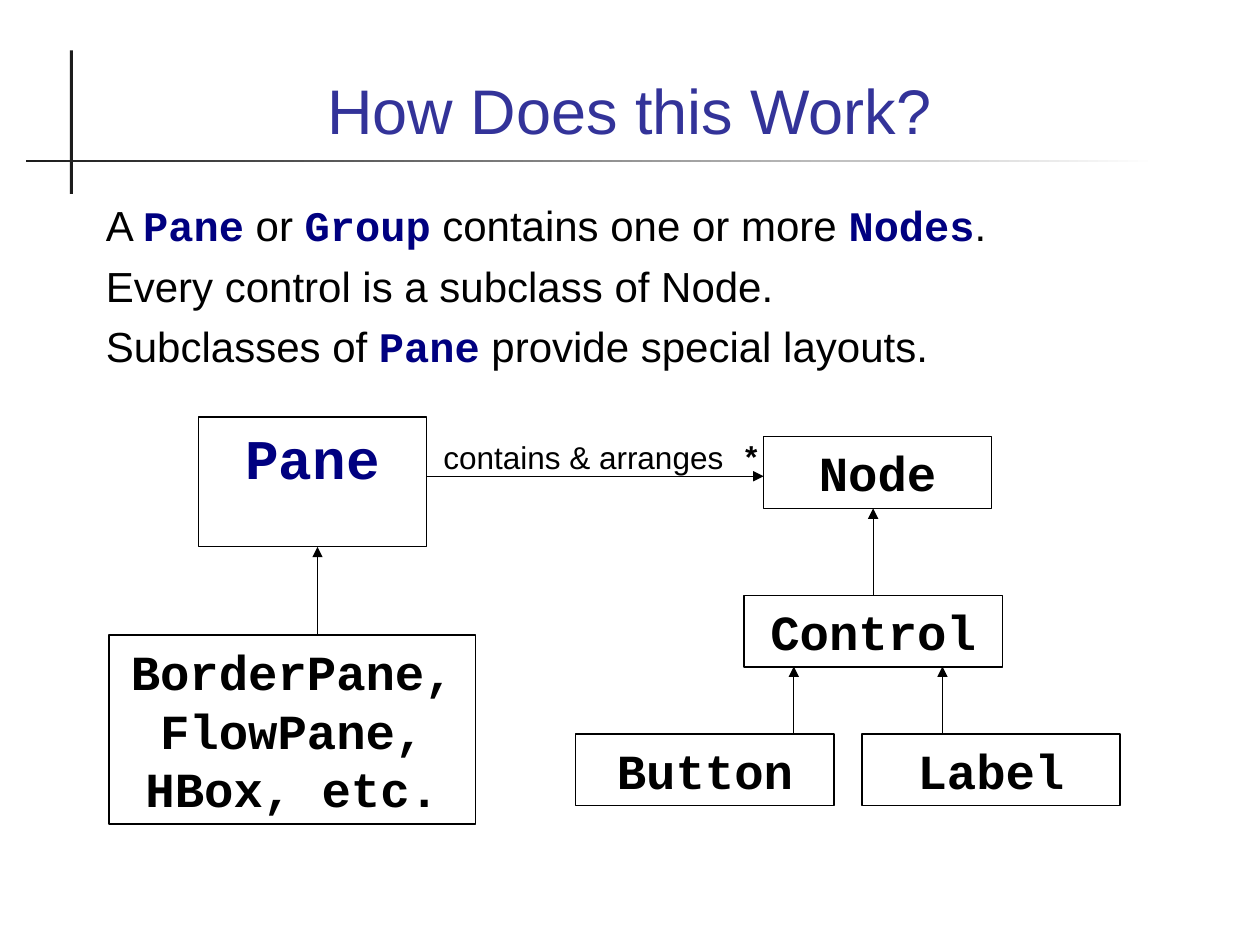
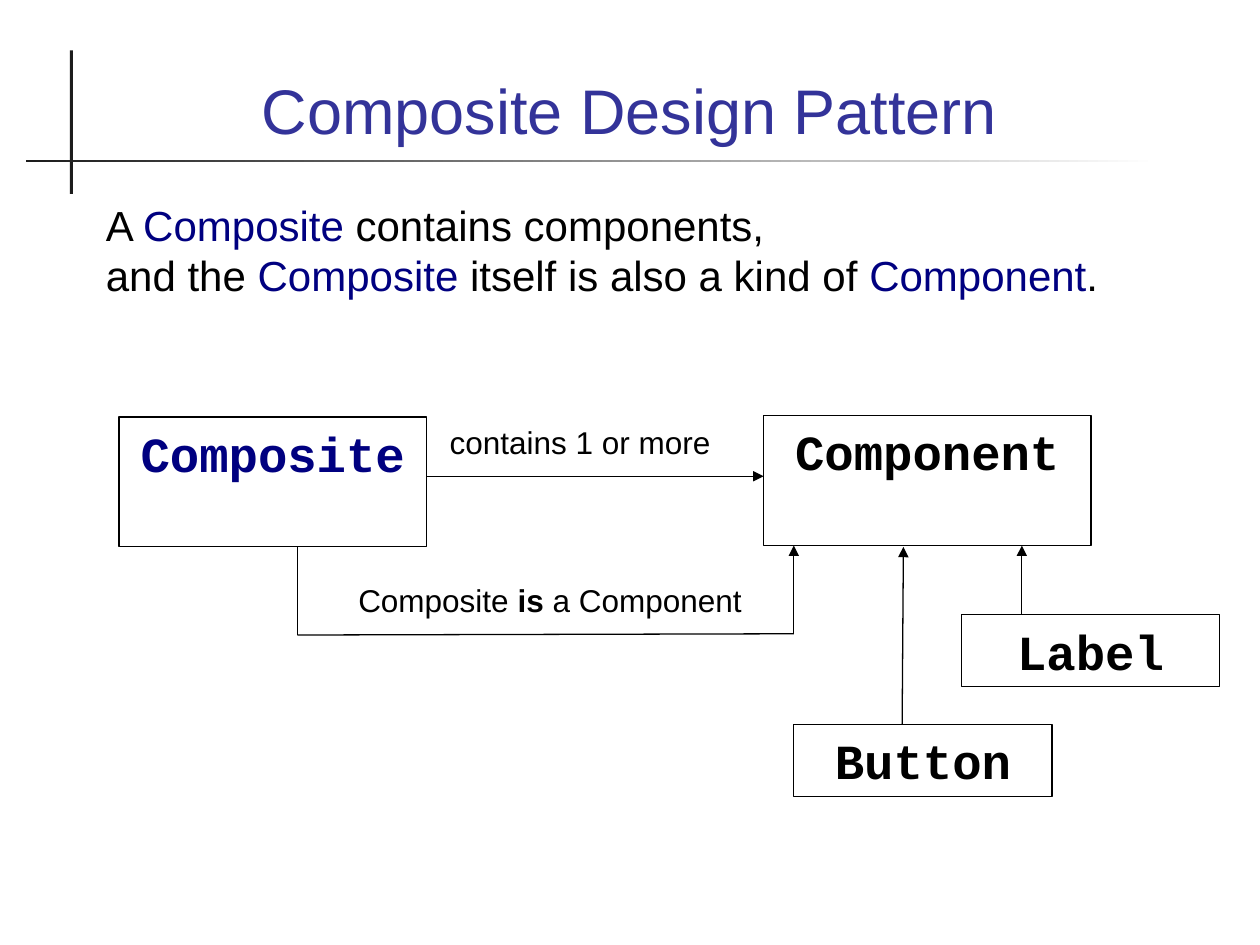
from dataclasses import dataclass
from typing import NamedTuple, Optional

from pptx import Presentation
from pptx.dml.color import RGBColor
from pptx.enum.shapes import MSO_CONNECTOR as Line, MSO_SHAPE as Shape
from pptx.enum.text import MSO_ANCHOR as Anchor, MSO_AUTO_SIZE as AutoSize, PP_ALIGN as Align
from pptx.oxml.ns import qn
from pptx.util import Emu, Inches, Pt
from lxml.etree import SubElement

WIDTH, HEIGHT = Inches(10), Inches(7.5)
COLS, ROWS = 100, 75
SANS, MONO = "Arial", "Courier New"
BLACK, NAVY, TITLE, RULE, WHITE = "000000", "000080", "333399", "1C1C1C", "FFFFFF"
TOP_SIDE = 0


class Span(NamedTuple):
    text: str
    color: str = BLACK
    font: str = SANS
    bold: bool = False


class Area(NamedTuple):
    """A place on the grid, in columns and rows."""
    col: float
    row: float
    cols: float
    rows: float


@dataclass
class ClassBox:
    name: str
    area: Area
    color: str = BLACK
    size: int = 28


@dataclass
class Link:
    """A line; begin_at names the class whose top middle it starts from."""
    start: tuple[float, float]
    end: tuple[float, float]
    head: bool = True
    begin_at: Optional[str] = None


@dataclass
class Label:
    spans: list[Span]
    area: Area
    wrap: bool = True
    align: Align = Align.LEFT
    tab: Optional[float] = None


@dataclass
class Page:
    title: str
    body: list[list[Span]]
    body_rows: float
    boxes: list[ClassBox]
    links: list[Link]
    labels: list[Label]


TITLE_AREA = Area(6.7, 2.8, 86.5, 9.4)
BODY_COL, BODY_ROW, BODY_COLS = 7.4, 15.3, 86.5
LEAF_COLS, LEAF_ROWS = 20.5, 5.7
CONTAINS = Link((33.9, 37.8), (60.6, 37.8))


def code(text: str) -> Span:
    return Span(text, NAVY, MONO, True)


def term(text: str) -> Span:
    return Span(text, NAVY)


def leaf(name: str, col: float, row: float) -> ClassBox:
    return ClassBox(name, Area(col, row, LEAF_COLS, LEAF_ROWS))


PAGES = [
    Page(
        "How Does this Work?",
        [
            [Span("A "), code("Pane"), Span(" or "), code("Group"),
             Span(" contains one or more "), code("Nodes"), Span(".")],
            [Span("Every control is a subclass of Node.")],
            [Span("Subclasses of "), code("Pane"), Span(" provide special layouts.")],
        ],
        15.4,
        [
            ClassBox("Pane", Area(15.75, 33.1, 18.1, 10.3), NAVY, 32),
            ClassBox("Node", Area(60.6, 34.65, 18.1, LEAF_ROWS)),
            leaf("Control", 59.05, 47.25),
            leaf("Button", 45.7, 58.25),
            leaf("Label", 68.4, 58.25),
            ClassBox("BorderPane,\vFlowPane,\vHBox, etc.", Area(8.65, 50.4, 29.1, 15)),
        ],
        [
            Link((69.3, 47.25), (69.3, 40.35), begin_at="Control"),
            Link((74.8, 58.25), (74.8, 52.9)),
            Link((63, 58.25), (63, 52.9)),
            Link((25.2, 50.4), (25.2, 43.4)),
            CONTAINS,
        ],
        [Label([Span("contains & arranges\t"), Span("*", font=MONO, bold=True)],
               Area(34.2, 34.3, 27.6, 7), tab=23.7)],
    ),
    Page(
        "Composite Design Pattern",
        [[Span("A "), term("Composite"), Span(" contains components,\vand the "),
          term("Composite"), Span(" itself is also a kind of "), term("Component"), Span(".")]],
        12.2,
        [
            ClassBox("Composite", Area(9.45, 33.1, 24.4, 10.3), NAVY),
            ClassBox("Component", Area(60.6, 33, 26, 10.3)),
            leaf("Button", 63, 57.5),
            leaf("Label", 76.3, 48.8),
        ],
        [
            Link((71.6, 57.5), (71.7, 43.4)),
            Link((81.1, 48.8), (81.1, 43.3)),
            CONTAINS,
            Link((63, 50.3), (63, 43.3)),
            Link((23.6, 43.4), (23.6, 50.4), head=False),
            Link((63, 50.3), (23.6, 50.4), head=False),
        ],
        [
            Label([Span("contains 1 or more")], Area(34.7, 33.1, 25.2, 4)),
            Label([Span("Composite "), Span("is", bold=True), Span(" a Component")],
                  Area(25.2, 45.6, 36.9, 7), wrap=False, align=Align.CENTER),
        ],
    ),
]


def rgb(color: str) -> RGBColor:
    return RGBColor.from_string(color)


def x(cols: float) -> Emu:
    return Emu(round(WIDTH * cols / COLS))


def y(rows: float) -> Emu:
    return Emu(round(HEIGHT * rows / ROWS))


def place(area: Area) -> tuple[Emu, Emu, Emu, Emu]:
    return x(area.col), y(area.row), x(area.cols), y(area.rows)


def write(p, spans: list[Span], size: int, align: Align = Align.LEFT) -> None:
    p.alignment = align
    p.space_before = Pt(0)
    for span in spans:
        for i, line in enumerate(span.text.split("\v")):
            if i:
                p.add_line_break()
            r = p.add_run()
            r.text = line
            r.font.name, r.font.size, r.font.bold = span.font, Pt(size), span.bold
            r.font.color.rgb = rgb(span.color)


def add_rules(s) -> None:
    """Draw the crossed rules beside and under the title."""
    for area in (Area(5.55, 4, 0.24, 11.4), Area(2.1, 12.7, 89.8, 0.16)):
        sp = s.shapes.add_shape(Shape.RECTANGLE, *place(area))
        sp.shadow.inherit = False
        sp.line.fill.background()
        if area.cols < area.rows:
            sp.fill.solid()
            sp.fill.fore_color.rgb = rgb(RULE)
        else:
            sp.fill.gradient()
            sp.fill.gradient_angle = 180
            for stop, position, color in zip(sp.fill.gradient_stops, (0, 1), (WHITE, RULE)):
                stop.position = position
                stop.color.rgb = rgb(color)


def fill_placeholder(sp, area: Area, anchor: Anchor):
    sp.left, sp.top, sp.width, sp.height = place(area)
    tf = sp.text_frame
    tf.auto_size, tf.vertical_anchor = AutoSize.NONE, anchor
    return tf


def add_body(s, page: Page) -> None:
    area = Area(BODY_COL, BODY_ROW, BODY_COLS, page.body_rows)
    tf = fill_placeholder(s.placeholders[1], area, Anchor.TOP)
    for i, spans in enumerate(page.body):
        p = tf.add_paragraph() if i else tf.paragraphs[0]
        pPr = p._p.get_or_add_pPr()
        pPr.set("marL", "0")
        pPr.set("indent", "0")
        SubElement(pPr, qn("a:buNone"))
        write(p, spans, 24)
        if i:
            p.space_before = Pt(6)


def add_class_box(s, box: ClassBox):
    sp = s.shapes.add_shape(Shape.RECTANGLE, *place(box.area))
    sp.shadow.inherit = False
    sp.fill.background()
    sp.line.color.rgb, sp.line.width = rgb(BLACK), Pt(0.75)
    tf = sp.text_frame
    tf.word_wrap, tf.vertical_anchor = True, Anchor.TOP
    write(tf.paragraphs[0], [Span(box.name, box.color, MONO, True)], box.size, Align.CENTER)
    return sp


def add_link(s, link: Link, boxes: dict) -> None:
    (x1, y1), (x2, y2) = link.start, link.end
    line = s.shapes.add_connector(Line.STRAIGHT, x(x1), y(y1), x(x2), y(y2))
    line.line.color.rgb, line.line.width = rgb(BLACK), Pt(0.75)
    if link.begin_at:
        line.begin_connect(boxes[link.begin_at], TOP_SIDE)
    spPr = line.element.spPr
    if link.head:
        SubElement(spPr.find(qn("a:ln")), qn("a:tailEnd"), type="triangle")
    SubElement(spPr, qn("a:effectLst"))


def add_label(s, label: Label) -> None:
    tf = s.shapes.add_textbox(*place(label.area)).text_frame
    tf.word_wrap = label.wrap
    p = tf.paragraphs[0]
    if label.tab:
        tabs = SubElement(p._p.get_or_add_pPr(), qn("a:tabLst"))
        SubElement(tabs, qn("a:tab"), pos=str(x(label.tab)), algn="l")
    write(p, label.spans, 18, label.align)


def add_page(prs, page: Page) -> None:
    s = prs.slides.add_slide(prs.slide_layouts[1])
    add_rules(s)
    tf = fill_placeholder(s.shapes.title, TITLE_AREA, Anchor.BOTTOM)
    write(tf.paragraphs[0], [Span(page.title, TITLE)], 36, Align.CENTER)
    add_body(s, page)
    boxes = {box.name: add_class_box(s, box) for box in page.boxes}
    for link in page.links:
        add_link(s, link, boxes)
    for label in page.labels:
        add_label(s, label)


def main() -> None:
    prs = Presentation()
    prs.slide_width, prs.slide_height = WIDTH, HEIGHT
    for page in PAGES:
        add_page(prs, page)
    prs.save("out.pptx")


if __name__ == "__main__":
    main()
